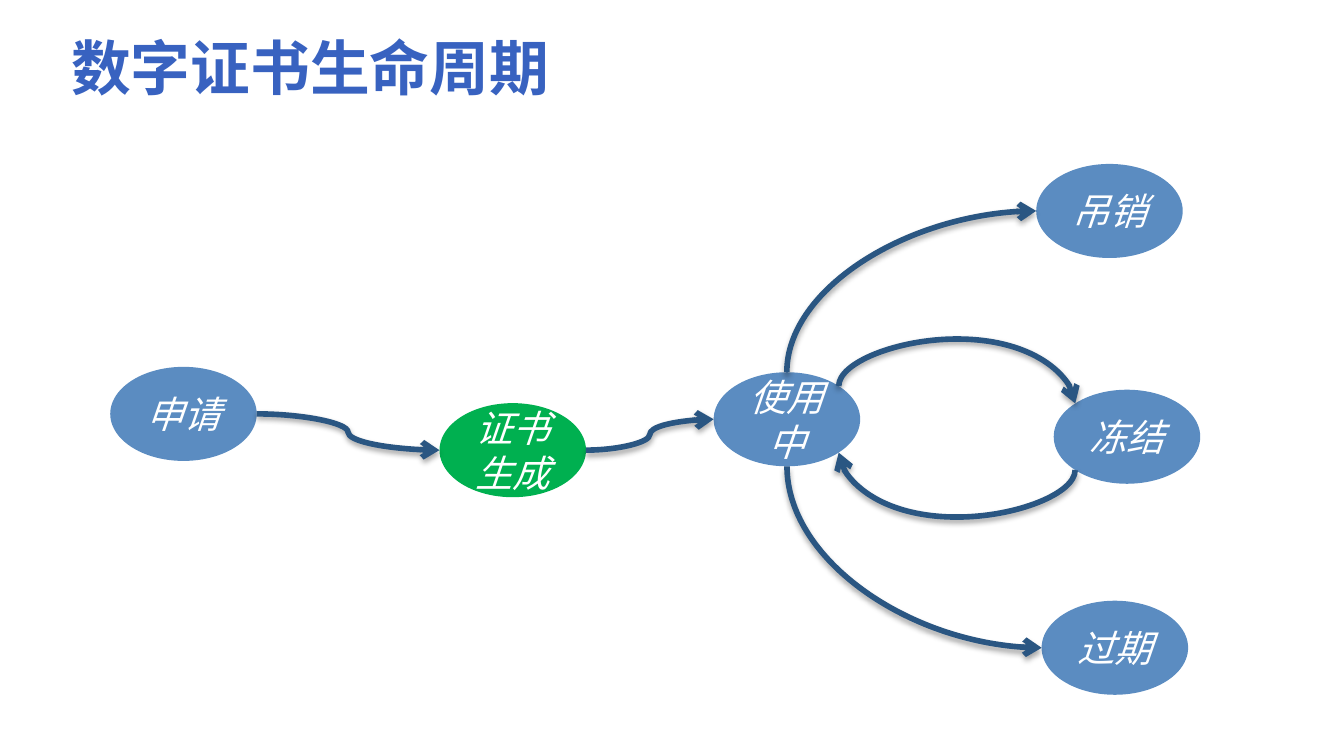
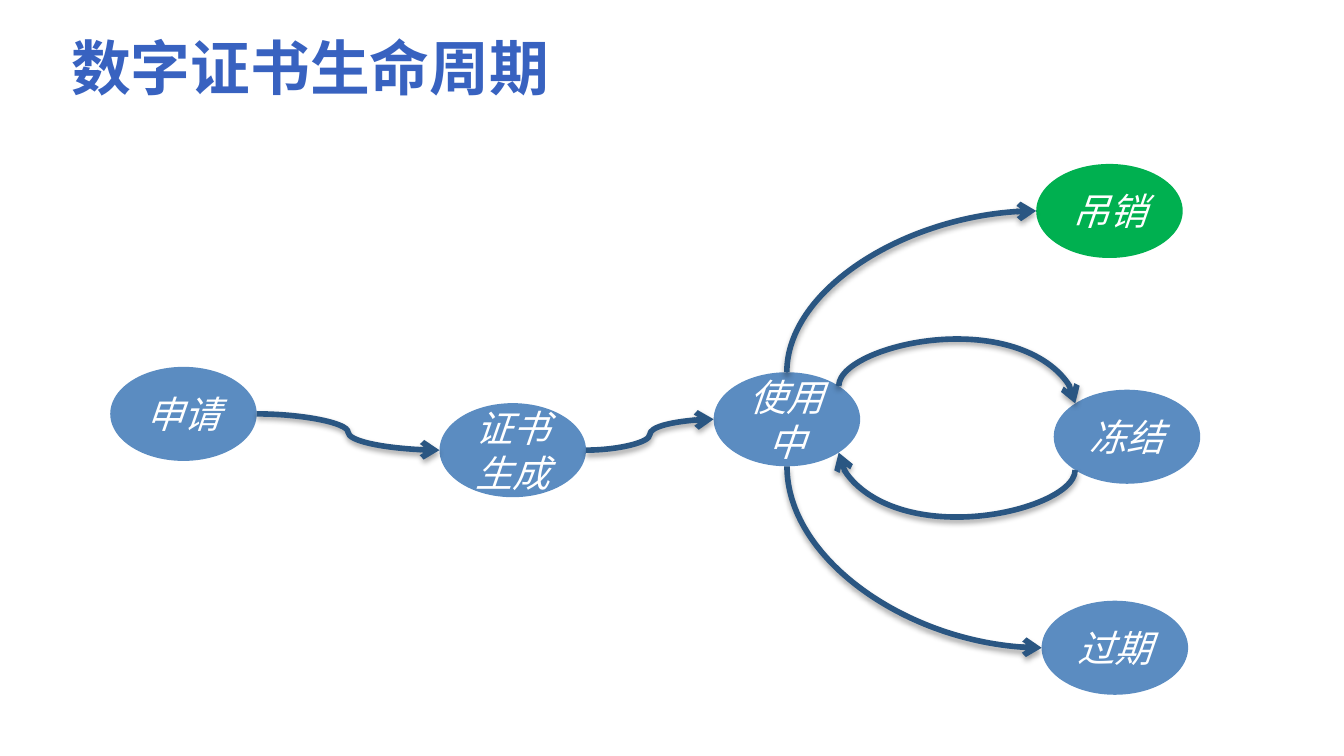
from math import cos, radians, sin

from lxml.etree import SubElement
from pptx import Presentation
from pptx.dml.color import RGBColor
from pptx.enum.shapes import MSO_CONNECTOR, MSO_SHAPE
from pptx.enum.text import MSO_ANCHOR, PP_ALIGN
from pptx.oxml.ns import qn
from pptx.util import Inches, Pt

FONT = "Noto Sans CJK SC"
TITLE_BLUE, STATE_BLUE, ACTIVE_GREEN = "3862C0", "5B8CC1", "00B050"
ARROW_BLUE, WHITE = "2A5682", "FFFFFF"
STATE_W, STATE_H = 1.09, 0.7
BULGE = 0.35  # how far the arrows to and from 冻结 bow outwards

# State: left, top
states = {
    "申请": (0.82, 2.73),
    "过期": (7.75, 4.47),
    "吊销": (7.71, 1.22),
    "冻结": (7.84, 2.9),
    "使用中": (5.31, 2.77),
    "证书生成": (3.27, 3),
}

# Connection sites of an ellipse, counter-clockwise from the top
TOP, TOP_LEFT, LEFT, BOTTOM_LEFT, BOTTOM, BOTTOM_RIGHT, RIGHT, TOP_RIGHT = range(8)

# From, site, to, site, preset, rotation, flips
transitions = [
    ("申请", RIGHT, "证书生成", LEFT, "curvedConnector3", 0, ""),
    ("使用中", TOP, "吊销", LEFT, "curvedConnector2", 90, "HV"),
    ("使用中", BOTTOM, "过期", LEFT, "curvedConnector2", 270, "H"),
    ("使用中", TOP_RIGHT, "冻结", TOP_LEFT, "curvedConnector3", 270, "H"),
    ("冻结", BOTTOM_LEFT, "使用中", BOTTOM_RIGHT, "curvedConnector3", 90, "H"),
    ("证书生成", RIGHT, "使用中", LEFT, "curvedConnector3", 0, "V"),
]


def style_text(paragraph, size, color, bold=False, italic=False):
    for run in paragraph.runs:
        run.font.size = Pt(size)
        run.font.bold = bold
        run.font.italic = italic
        run.font.color.rgb = RGBColor.from_string(color)
        run.font.name = FONT
        SubElement(run.font._element, qn("a:ea"), typeface=FONT)


def site_point(state, site):
    left, top = states[state]
    angle = radians(90 + 45 * site)
    return (left + STATE_W / 2 * (1 + cos(angle)),
            top + STATE_H / 2 * (1 - sin(angle)))


# Widescreen 16:9
prs = Presentation()
prs.slide_width = Inches(10)
prs.slide_height = Inches(10 * 9 / 16)

# One slide for each highlighted state
for active in ("证书生成", "吊销"):
    slide = prs.slides.add_slide(prs.slide_layouts[6])

    # Title
    title = slide.shapes.add_textbox(
        Inches(0.43), Inches(0.29), Inches(7.65), Inches(0.49)).text_frame
    title.word_wrap = True
    title.vertical_anchor = MSO_ANCHOR.TOP
    title.margin_top = title.margin_bottom = 0
    title.text = "数字证书生命周期"
    title.paragraphs[0].line_spacing = 0.9
    style_text(title.paragraphs[0], 32, TITLE_BLUE, bold=True)

    # States
    ellipses = {}
    for state, (left, top) in states.items():
        ellipse = slide.shapes.add_shape(
            MSO_SHAPE.OVAL, Inches(left), Inches(top), Inches(STATE_W), Inches(STATE_H))
        ellipse.shadow.inherit = False
        ellipse.fill.solid()
        ellipse.fill.fore_color.rgb = RGBColor.from_string(
            ACTIVE_GREEN if state == active else STATE_BLUE)
        ellipse.line.fill.background()
        label = ellipse.text_frame
        label.word_wrap = True
        label.vertical_anchor = MSO_ANCHOR.MIDDLE
        label.text = state
        label.paragraphs[0].alignment = PP_ALIGN.CENTER
        style_text(label.paragraphs[0], 20, WHITE, italic=True)
        ellipses[state] = ellipse

    # Transitions
    for source, source_site, target, target_site, preset, rotation, flips in transitions:
        x1, y1 = site_point(source, source_site)
        x2, y2 = site_point(target, target_site)
        width, height = abs(x2 - x1), abs(y2 - y1)
        if rotation:
            width, height = height, width
        left, top = (x1 + x2 - width) / 2, (y1 + y2 - height) / 2
        arrow = slide.shapes.add_connector(
            MSO_CONNECTOR.CURVE, Inches(left), Inches(top),
            Inches(left + width), Inches(top + height))
        arrow.line.width = Pt(3)
        arrow.line.color.rgb = RGBColor.from_string(ARROW_BLUE)

        # Direction and curve
        properties = arrow._element.spPr
        frame = properties.find(qn("a:xfrm"))
        frame.set("rot", str(rotation * 60000))
        for axis in flips:
            frame.set("flip" + axis, "1")
        geometry = properties.find(qn("a:prstGeom"))
        geometry.set("prst", preset)
        if rotation and preset == "curvedConnector3":
            SubElement(geometry.find(qn("a:avLst")), qn("a:gd"), name="adj1",
                       fmla=f"val {round(-BULGE / width * 100000)}")

        # Attachment to the two states
        links = arrow._element.find(".//" + qn("p:cNvCxnSpPr"))
        for tag, state, site in (("a:stCxn", source, source_site),
                                 ("a:endCxn", target, target_site)):
            SubElement(links, qn(tag), id=str(ellipses[state].shape_id), idx=str(site))

        # Arrowhead and soft shadow
        SubElement(properties.find(qn("a:ln")), qn("a:tailEnd"), type="arrow")
        effects = SubElement(properties, qn("a:effectLst"))
        shadow = SubElement(effects, qn("a:outerShdw"), blurRad=str(Pt(3.1)),
                            dist=str(Pt(1.8)), dir="5400000", rotWithShape="0")
        black = SubElement(shadow, qn("a:srgbClr"), val="000000")
        SubElement(black, qn("a:alpha"), val="35000")

prs.save("out.pptx")
